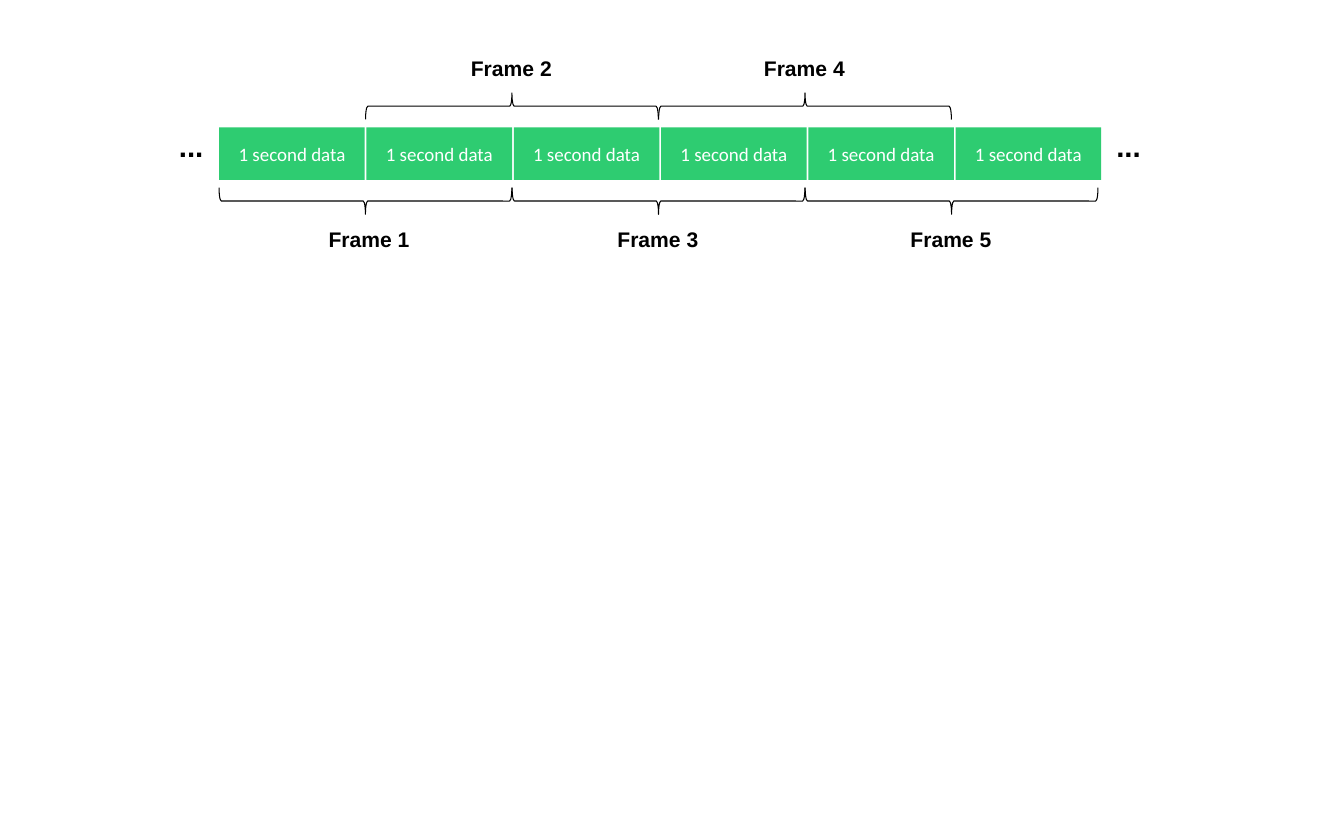
from pptx import Presentation
from pptx.dml.color import RGBColor
from pptx.enum.shapes import MSO_SHAPE
from pptx.enum.text import MSO_ANCHOR, MSO_AUTO_SIZE, PP_ALIGN
from pptx.util import Pt

RECTANGLE = MSO_SHAPE.RECTANGLE
BRACE = MSO_SHAPE.RIGHT_BRACE
LEFT, CENTER = PP_ALIGN.LEFT, PP_ALIGN.CENTER
TOP, MIDDLE = MSO_ANCHOR.TOP, MSO_ANCHOR.MIDDLE
FIT_SHAPE = MSO_AUTO_SIZE.SHAPE_TO_FIT_TEXT

GREEN = RGBColor(0x2E, 0xCC, 0x71)
BLACK = RGBColor(0, 0, 0)
WHITE = RGBColor(255, 255, 255)

SECONDS = ["1 second data"] * 6
FRAMES = [("Frame 1", 4), ("Frame 2", 0), ("Frame 3", 0), ("Frame 4", 0), ("Frame 5", 0)]
ELLIPSIS = "..."
ELLIPSIS_LEFTS = (162.7, 1052.6)

CELL_LEFT, CELL_TOP, CELL_WIDTH, CELL_HEIGHT = 208.1, 121, 138.2, 49.7
CELL_PITCH = 139.8
BRACE_THICKNESS, BRACE_LENGTH = 25.2, 278
FRAME_CENTER, FRAME_PITCH = 346.9, 139.1
LABEL_WIDTH, LABEL_HEIGHT = 92.2, 31.7
BELOW = {"brace_center": 190.8, "rotation": 90, "label_top": 211.2}
ABOVE = {"brace_center": 100.8, "rotation": 270, "label_top": 49}


def write_text(shape, text, font="Arial", size=20, color=BLACK, bold=False,
               align=LEFT, anchor=TOP):
    frame = shape.text_frame
    frame.word_wrap = True
    frame.vertical_anchor = anchor
    paragraph = frame.paragraphs[0]
    paragraph.alignment = align
    run = paragraph.add_run()
    run.text = text
    run.font.name = font
    run.font.size = Pt(size)
    run.font.bold = bold
    run.font.color.rgb = color


def add_label(slide, text, left, top, width, height, size):
    box = slide.shapes.add_textbox(Pt(left), Pt(top), Pt(width), Pt(height))
    write_text(box, text, size=size, bold=True)
    box.text_frame.auto_size = FIT_SHAPE


def add_cell(slide, text, left):
    cell = slide.shapes.add_shape(
        RECTANGLE, Pt(left), Pt(CELL_TOP), Pt(CELL_WIDTH), Pt(CELL_HEIGHT))
    cell.shadow.inherit = False
    cell.fill.solid()
    cell.fill.fore_color.rgb = GREEN
    cell.line.fill.background()
    write_text(cell, text, font="Calibri", size=18, color=WHITE, align=CENTER, anchor=MIDDLE)


def add_brace(slide, center_x, center_y, rotation):
    brace = slide.shapes.add_shape(
        BRACE, Pt(center_x - BRACE_THICKNESS / 2), Pt(center_y - BRACE_LENGTH / 2),
        Pt(BRACE_THICKNESS), Pt(BRACE_LENGTH))
    brace.rotation = rotation
    brace.shadow.inherit = False
    brace.fill.background()
    brace.line.color.rgb = BLACK
    brace.line.width = Pt(1)


def main():
    presentation = Presentation()
    presentation.slide_width = Pt(1275.84)
    presentation.slide_height = Pt(786.96)
    slide = presentation.slides.add_slide(presentation.slide_layouts[6])

    for index, text in enumerate(SECONDS):
        add_cell(slide, text, CELL_LEFT + index * CELL_PITCH)

    for index, (name, label_shift) in enumerate(FRAMES):
        side = ABOVE if index % 2 else BELOW
        center = FRAME_CENTER + index * FRAME_PITCH
        add_brace(slide, center, side["brace_center"], side["rotation"])
        add_label(slide, name, center + label_shift - LABEL_WIDTH / 2, side["label_top"],
                  LABEL_WIDTH, LABEL_HEIGHT, 20)

    for left in ELLIPSIS_LEFTS:
        add_label(slide, ELLIPSIS, left, 118.1, 38.2, 41, 28)

    presentation.save("out.pptx")


if __name__ == "__main__":
    main()
